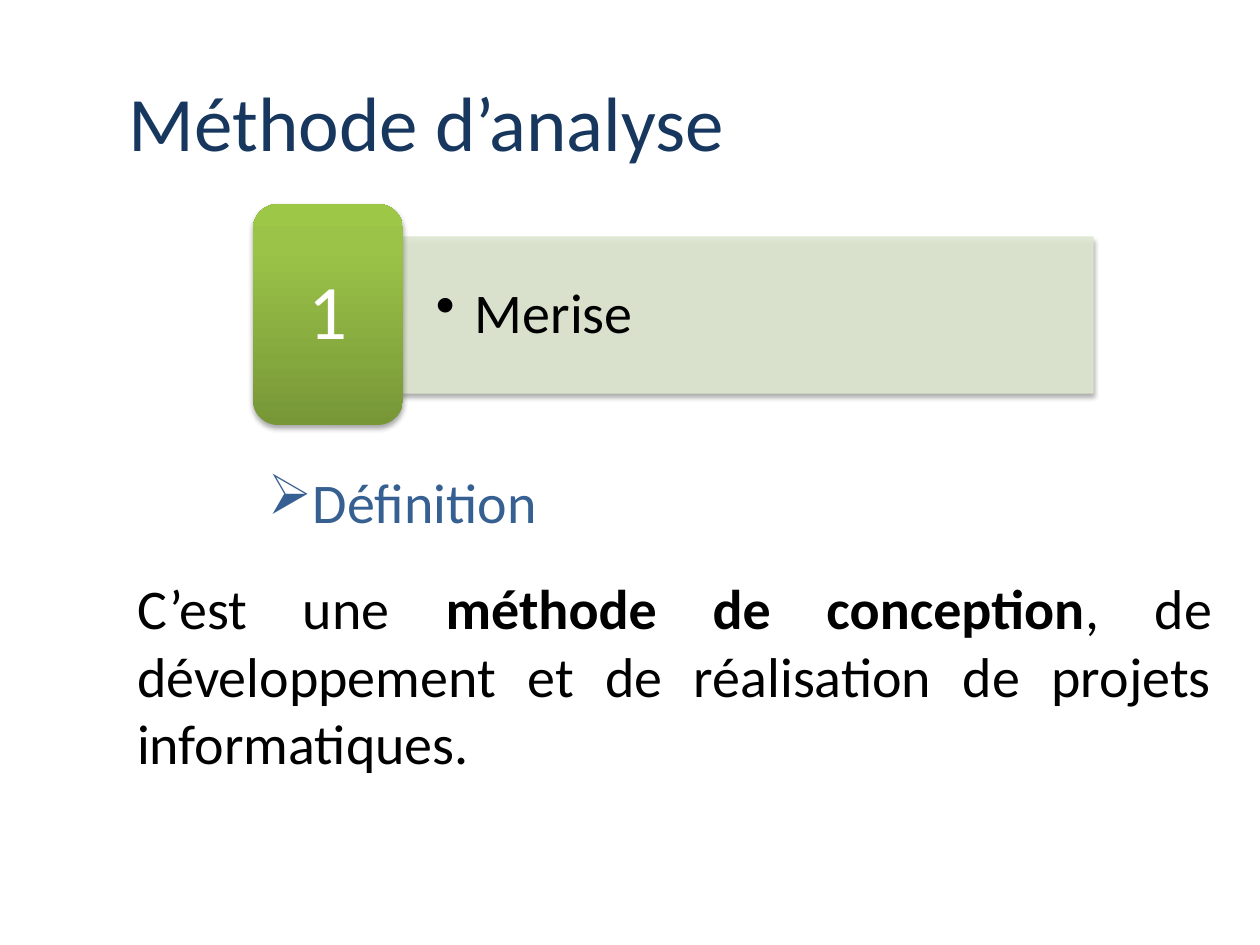
from lxml.etree import SubElement
from pptx import Presentation
from pptx.dml.color import RGBColor
from pptx.enum.shapes import MSO_SHAPE as Shape
from pptx.enum.text import MSO_ANCHOR as Anchor, PP_ALIGN as Align
from pptx.oxml import parse_xml
from pptx.oxml.ns import nsdecls, qn
from pptx.util import Pt

PX = 914400 / 126
FONT = "Calibri"

TITLE = [("Méthode d’analyse", False)]
NUMBER = [("1", False)]
METHOD = [("Merise", False)]
HEADING = [("Définition", False)]
DEFINITION = [
    ("C’est une ", False),
    ("méthode de conception", True),
    (", de développement et de réalisation de projets informatiques.", False),
]
BADGE_STOPS = [(0, "779737"), (80, "9BC348"), (100, "9DC746")]
BAR_COLOR = "DEE7D1"
BULLET_INDENT = 39


def px(length):
    return round(length * PX)


def rgb(color):
    return RGBColor.from_string(color)


def write(shape, runs, size, color, align=Align.LEFT, anchor=Anchor.TOP,
          inset=(13, 6), wrap=True, spacing=None, bullet=None):
    """Fill a shape with one paragraph of (text, bold) runs."""
    frame = shape.text_frame
    frame.word_wrap = wrap
    frame.vertical_anchor = anchor
    frame.margin_left = frame.margin_right = px(inset[0])
    frame.margin_top = frame.margin_bottom = px(inset[1])
    paragraph = frame.paragraphs[0]
    paragraph.alignment = align
    if spacing:
        paragraph.line_spacing = spacing
    for text, bold in runs:
        run = paragraph.add_run()
        run.text = text
        run.font.name = FONT
        run.font.size = Pt(size)
        run.font.bold = bold
        run.font.color.rgb = rgb(color)
    if bullet:
        props = paragraph._p.get_or_add_pPr()
        props.set("marL", str(px(BULLET_INDENT)))
        props.set("indent", str(-px(BULLET_INDENT)))
        SubElement(props, qn("a:buChar"), char=bullet)


def add_text(slide, box, *args, **style):
    write(slide.shapes.add_textbox(*map(px, box)), *args, **style)


def add_panel(slide, kind, box):
    """Add a shape with a soft shadow straight below it."""
    panel = slide.shapes.add_shape(kind, *map(px, box))
    panel.line.fill.background()
    panel._element.spPr.append(parse_xml(
        f'<a:effectLst {nsdecls("a")}><a:outerShdw blurRad="{Pt(3.1)}" '
        f'dist="{Pt(1.8)}" dir="5400000" rotWithShape="0"><a:srgbClr val="000000">'
        '<a:alpha val="35000"/></a:srgbClr></a:outerShdw></a:effectLst>'))
    return panel


def set_alpha(fill_element, percent):
    color = fill_element.find(qn("a:srgbClr"))
    SubElement(color, qn("a:alpha"), val=str(percent * 1000))


def fill_upward(shape, stops):
    """Give a shape a gradient whose first stop lies at the bottom."""
    marks = "".join(f'<a:gs pos="{pos * 1000}"><a:srgbClr val="{color}"/></a:gs>'
                    for pos, color in stops)
    geometry = shape._element.spPr.find(qn("a:prstGeom"))
    geometry.addnext(parse_xml(
        f'<a:gradFill {nsdecls("a")} rotWithShape="1"><a:gsLst>{marks}</a:gsLst>'
        '<a:lin ang="16200000" scaled="0"/></a:gradFill>'))


def main():
    deck = Presentation()
    deck.slide_width, deck.slide_height = px(1260), px(945)
    slide = deck.slides.add_slide(deck.slide_layouts[6])

    bar = add_panel(slide, Shape.RECTANGLE, (402, 237, 691, 156))
    bar.fill.solid()
    bar.fill.fore_color.rgb = rgb(BAR_COLOR)
    bar.line.color.rgb = rgb(BAR_COLOR)
    bar.line.width = Pt(0.75)
    for part in (bar._element.spPr, bar._element.spPr.find(qn("a:ln"))):
        set_alpha(part.find(qn("a:solidFill")), 90)
    write(bar, METHOD, 32, "000000", anchor=Anchor.MIDDLE,
          inset=(34, 18), spacing=0.9, bullet="•")

    badge = add_panel(slide, Shape.ROUNDED_RECTANGLE, (253, 204, 150, 221))
    fill_upward(badge, BADGE_STOPS)
    write(badge, NUMBER, 44, "FFFFFF", align=Align.CENTER, anchor=Anchor.MIDDLE,
          inset=(30, 18), spacing=0.9)

    add_text(slide, (116, 42, 1113, 158), TITLE, 44, "17375E", anchor=Anchor.MIDDLE)
    add_text(slide, (124, 568, 1101, 217), DEFINITION, 32, "000000",
             align=Align.JUSTIFY)
    add_text(slide, (255, 462, 299, 81), HEADING, 32, "376092",
             wrap=False, bullet="➢")

    deck.save("out.pptx")


if __name__ == "__main__":
    main()
